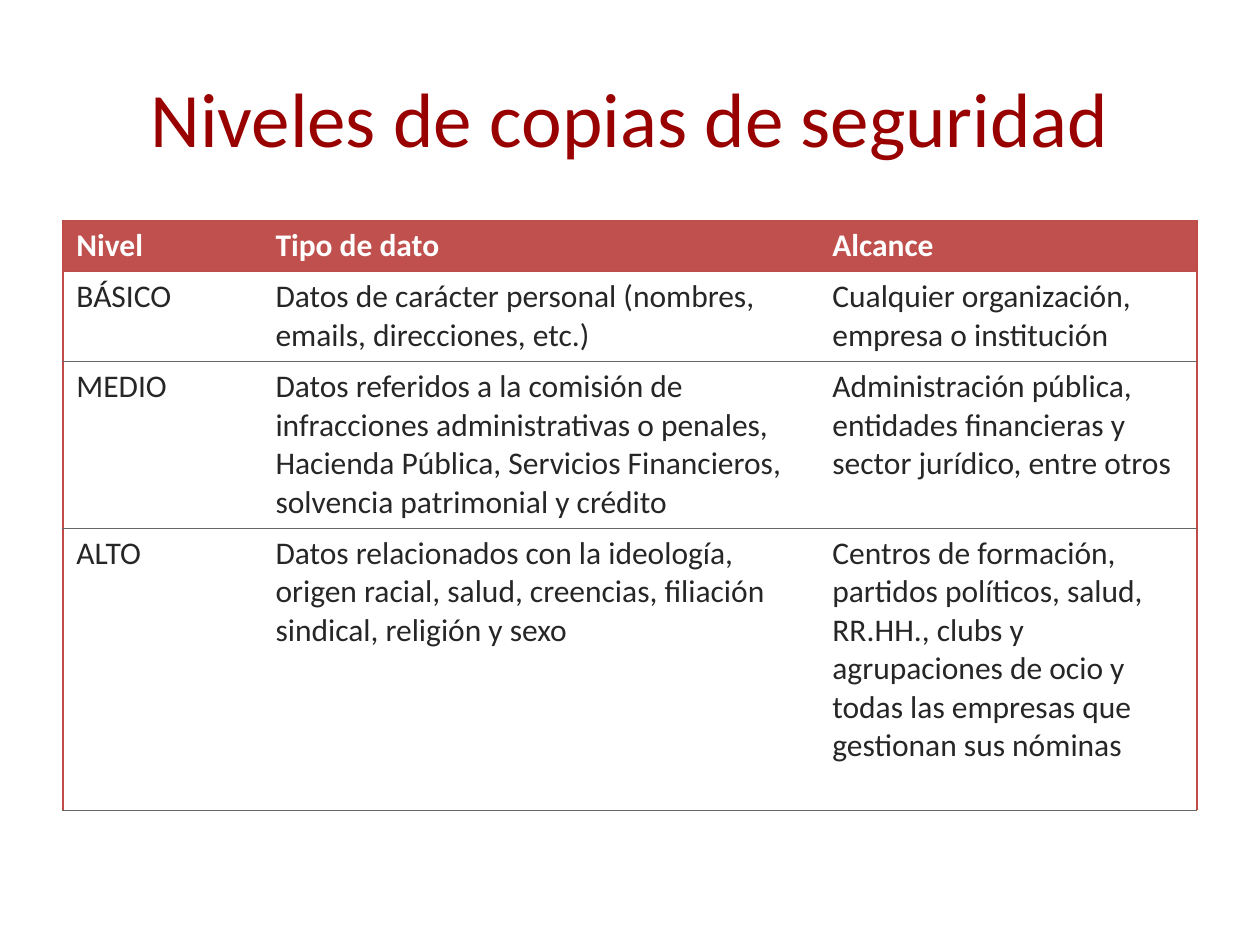
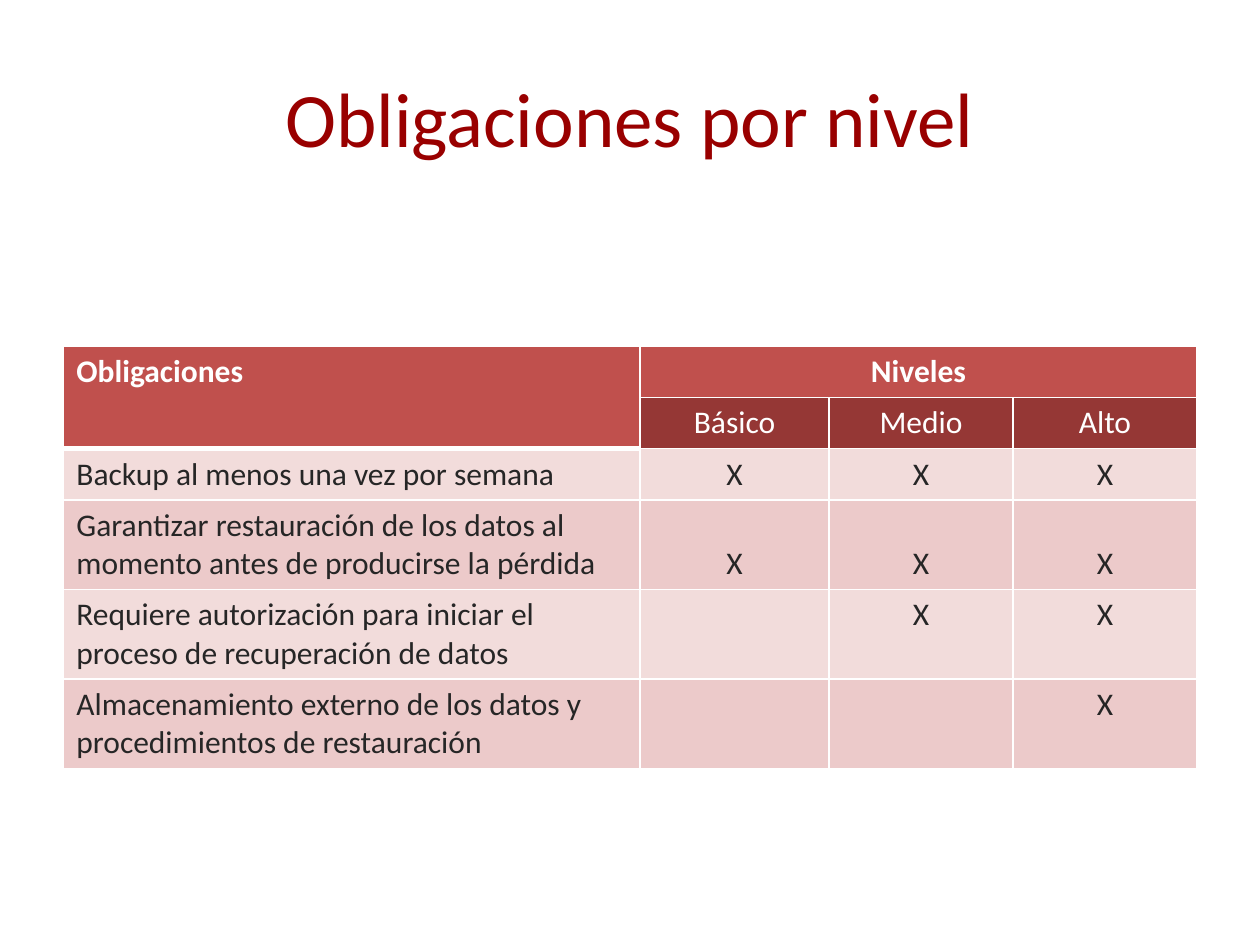
from lxml import etree
from pptx import Presentation
from pptx.dml.color import RGBColor
from pptx.enum import text
from pptx.oxml import ns
from pptx.util import Pt

COLOURS = {
    "title": "990000", "header": "C0504D", "subheader": "953735",
    "edge": "BF4C48", "rule": "666666", "ink": "262626",
    "white": "FFFFFF", "light": "F2DCDB", "dark": "ECCACA",
}
FONT = "Calibri"
PLAIN_STYLE = "{2D5ABB26-0587-4C30-8999-92F81FD0307C}"
TITLE_BOX = (36, 21.6, 648, 90)
LEVELS_BOX = (36, 126, 648, 336.6)
DUTIES_BOX = (36, 198, 648, 241.2)

LEVELS = [
    ("Nivel", "Tipo de dato", "Alcance"),
    ("BÁSICO",
     "Datos de carácter personal (nombres, emails, direcciones, etc.)",
     "Cualquier organización, empresa o institución"),
    ("MEDIO",
     "Datos referidos a la comisión de infracciones administrativas o penales, "
     "Hacienda Pública, Servicios Financieros, solvencia patrimonial y crédito",
     "Administración pública, entidades financieras y sector jurídico, entre otros"),
    ("ALTO",
     "Datos relacionados con la ideología, origen racial, salud, creencias, "
     "filiación sindical, religión y sexo",
     "Centros de formación, partidos políticos, salud, RR.HH., clubs y agrupaciones "
     "de ocio y todas las empresas que gestionan sus nóminas"),
]
DUTIES = [
    ("Obligaciones", "Niveles", "", ""),
    ("", "Básico", "Medio", "Alto"),
    ("Backup al menos una vez por semana", "X", "X", "X"),
    ("Garantizar restauración de los datos al momento antes de producirse la pérdida",
     "X", "X", "X"),
    ("Requiere autorización para iniciar el proceso de recuperación de datos", "", "X", "X"),
    ("Almacenamiento externo de los datos y procedimientos de restauración", "", "", "X"),
]


def rgb(name):
    """Return the palette colour of the given name."""
    return RGBColor.from_string(COLOURS[name])


def format_paragraph(para, size, colour, bold=False, centred=False):
    """Set the font and alignment of a paragraph."""
    para.font.name = FONT
    para.font.size = Pt(size)
    para.font.bold = bold
    para.font.color.rgb = rgb(colour)
    para.alignment = text.PP_ALIGN.CENTER if centred else text.PP_ALIGN.LEFT


def add_page(deck, heading, box):
    """Add a title-only page with its heading in the given box."""
    page = deck.slides.add_slide(deck.slide_layouts[5])
    title = page.shapes.title
    title.left, title.top, title.width, title.height = map(Pt, box)
    title.text_frame.text = heading
    title.text_frame.vertical_anchor = text.MSO_ANCHOR.MIDDLE
    format_paragraph(title.text_frame.paragraphs[0], 44, "title", centred=True)
    return page


def add_grid(page, box, widths, heights):
    """Add an unstyled table with the given column widths and row heights."""
    frame = page.shapes.add_table(len(heights), len(widths), *map(Pt, box))
    table = frame.table
    table._tbl.tblPr.find(ns.qn("a:tableStyleId")).text = PLAIN_STYLE
    for column, width in zip(table.columns, widths):
        column.width = Pt(width)
    for row, height in zip(table.rows, heights):
        row.height = Pt(height)
    return table


def set_borders(cell, borders):
    """Draw the sides L, R, T and B that are given as (colour, width)."""
    properties = cell._tc.get_or_add_tcPr()
    for side in "LRTB":
        if side in borders:
            colour, width = borders[side]
            line = etree.SubElement(properties, ns.qn(f"a:ln{side}"), w=str(Pt(width)))
            fill = etree.SubElement(line, ns.qn("a:solidFill"))
            etree.SubElement(fill, ns.qn("a:srgbClr"), val=COLOURS[colour])


def fill_cell(cell, words, colour, borders, fill=None, bold=False, centred=False):
    """Write and format one table cell."""
    set_borders(cell, borders)
    cell.margin_left = cell.margin_right = Pt(7.7)
    cell.margin_top = cell.margin_bottom = Pt(3.6)
    if fill:
        cell.fill.solid()
        cell.fill.fore_color.rgb = rgb(fill)
    else:
        cell.fill.background()
    cell.text = words
    format_paragraph(cell.text_frame.paragraphs[0], 18, colour, bold, centred)


def add_levels_table(page, box):
    """Add the table of data types and scope by level."""
    widths = (113.76, 318.24, box[2] - 432)
    table = add_grid(page, box, widths, (29.2, 51.4, 94.8, 161.2))
    for r, row in enumerate(LEVELS):
        header = r == 0
        horizontal = ("edge", 0.75) if header else ("rule", 0.5)
        for c, words in enumerate(row):
            borders = {"B": horizontal}
            if header:
                borders["T"] = horizontal
            if c == 0:
                borders["L"] = ("edge", 0.75)
            if c == len(row) - 1:
                borders["R"] = ("edge", 0.75)
            fill_cell(table.cell(r, c), words, "white" if header else "ink", borders,
                      "header" if header else None, bold=header)


def add_duties_table(page, box):
    """Add the table of obligations required at each level."""
    widths = (329.76, 108, 105.12, box[2] - 542.88)
    table = add_grid(page, box, widths, [29.2] * 3 + [51.2] * 3)
    table.cell(0, 0).merge(table.cell(1, 0))
    table.cell(0, 1).merge(table.cell(0, 3))
    for r, row in enumerate(DUTIES):
        for c, words in enumerate(row):
            borders = dict.fromkeys("LRTB", ("white", 1))
            if c == 0 and r < 2:
                borders["B"] = ("white", 3)
            if c == 0 and r == 2:
                borders["T"] = ("white", 3)
            if r < 2:
                fill = "subheader" if r == 1 and c > 0 else "header"
            else:
                fill = "dark" if r % 2 else "light"
            fill_cell(table.cell(r, c), words, "white" if r < 2 else "ink", borders,
                      fill, bold=r == 0, centred=c > 0)
    for c in range(1, len(widths)):
        table.cell(3, c).vertical_anchor = text.MSO_ANCHOR.BOTTOM


def main():
    """Build and save the deck."""
    deck = Presentation()
    deck.slide_width, deck.slide_height = Pt(720), Pt(540)
    add_levels_table(add_page(deck, "Niveles de copias de seguridad", TITLE_BOX), LEVELS_BOX)
    add_duties_table(add_page(deck, "Obligaciones por nivel", TITLE_BOX), DUTIES_BOX)
    deck.save("out.pptx")


if __name__ == "__main__":
    main()
